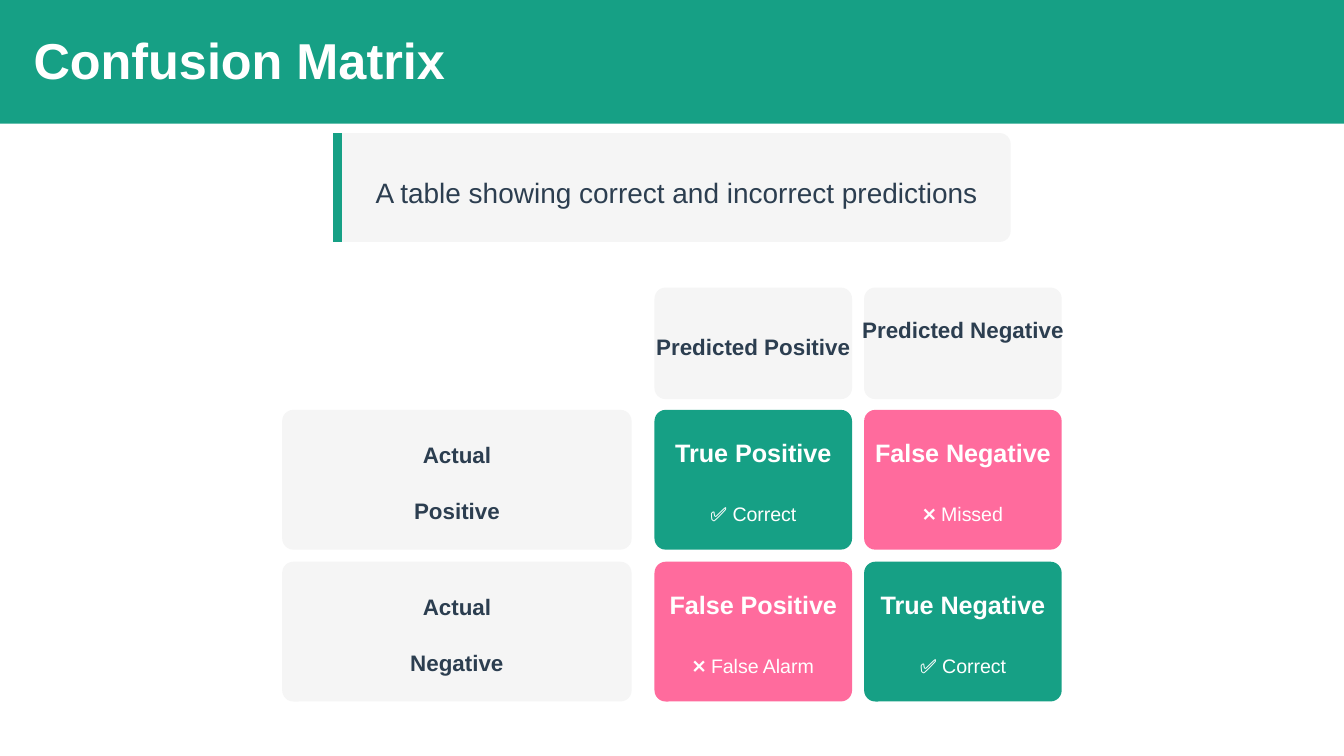
from lxml import etree
from pptx import Presentation
from pptx.dml.color import RGBColor
from pptx.enum.shapes import MSO_CONNECTOR, MSO_SHAPE
from pptx.enum.text import PP_ALIGN
from pptx.oxml.ns import qn
from pptx.util import Inches, Pt

RECTANGLE, ROUNDED = MSO_SHAPE.RECTANGLE, MSO_SHAPE.ROUNDED_RECTANGLE
STRAIGHT = MSO_CONNECTOR.STRAIGHT
LEFT, CENTER = PP_ALIGN.LEFT, PP_ALIGN.CENTER

COLORS = {
    "green": "16A085",
    "pink": "FF6B9D",
    "panel": "F5F5F5",
    "dark": "2C3E50",
    "white": "FFFFFF",
}

# Font size, weight, color and paragraph spacing of each text role
STYLES = {
    "title": {"size": 27, "bold": True, "color": "white", "line_spacing": 30},
    "subtitle": {"size": 15, "bold": False, "color": "dark", "line_spacing": 22.5},
    "header": {"size": 12, "bold": True, "color": "dark", "line_spacing": 18},
    "outcome": {"size": 13.5, "bold": True, "color": "white", "line_spacing": 21},
    "remark": {"size": 10.5, "bold": False, "color": "white", "line_spacing": 15,
               "space_before": 3.6, "space_after": 3},
}
SPACING = ("line_spacing", "space_before", "space_after")

# Matrix grid
ROW_HEADER_LEFT, ROW_HEADER_WIDTH = 2.1, 2.6
COLUMN_LEFT, COLUMN_STEP, CELL_WIDTH = 4.87, 1.56, 1.47
ROW_TOP, ROW_STEP, CELL_HEIGHT = 3.05, 1.13, 1.04
HEADER_TOP, HEADER_HEIGHT = 2.14, 0.83

# Text, width, top and height of each column header
COLUMN_HEADERS = [
    ("Predicted Positive", 1.47, 2.43, 0.25),
    ("Predicted Negative", 1.52, 2.3, 0.5),
]
# Second word of each row header and its width
ROW_HEADERS = [("Positive", 0.65), ("Negative", 0.71)]
# Fill, outcome and its width, remark and its width
CELLS = [
    [("green", "True Positive", 1.19, "✅ Correct", 0.71),
     ("pink", "False Negative", 1.34, "❌ Missed", 0.7)],
    [("pink", "False Positive", 1.28, "❌ False Alarm", 1.01),
     ("green", "True Negative", 1.25, "✅ Correct", 0.71)],
]


def rgb(name):
    return RGBColor.from_string(COLORS[name])


def add_box(slide, left, top, width, height, fill, corner=None):
    kind = RECTANGLE if corner is None else ROUNDED
    shape = slide.shapes.add_shape(
        kind, Inches(left), Inches(top), Inches(width), Inches(height))
    if corner is not None:
        shape.adjustments[0] = corner
    shape.shadow.inherit = False
    shape.fill.solid()
    shape.fill.fore_color.rgb = rgb(fill)
    shape.line.fill.background()


def add_text(slide, text, style, left, top, width, height,
             alignment=CENTER, wrap=False):
    box = slide.shapes.add_textbox(
        Inches(left), Inches(top), Inches(width), Inches(height))
    frame = box.text_frame
    frame.word_wrap = wrap
    for side in ("left", "top", "right", "bottom"):
        setattr(frame, f"margin_{side}", 0)
    values = STYLES[style]
    paragraph = frame.paragraphs[0]
    paragraph.alignment = alignment
    for name in SPACING:
        if name in values:
            setattr(paragraph, name, Pt(values[name]))
    run = paragraph.add_run()
    run.text = text
    font = {"name": "Arial", "size": Pt(values["size"]), "bold": values["bold"]}
    for name, value in font.items():
        setattr(run.font, name, value)
    run.font.color.rgb = rgb(values["color"])


def add_centered_text(slide, text, style, center, top, width, height):
    add_text(slide, text, style, center - width / 2, top, width, height)


def add_accent_line(slide, x, top, bottom):
    line = slide.shapes.add_connector(
        STRAIGHT, Inches(x), Inches(top), Inches(x), Inches(bottom))
    line.line.color.rgb = rgb("green")
    line.line.width = Pt(4.5)
    etree.SubElement(line._element.spPr, qn("a:effectLst"))


def add_row_headers(slide):
    center = ROW_HEADER_LEFT + ROW_HEADER_WIDTH / 2
    for row, (word, width) in enumerate(ROW_HEADERS):
        top = ROW_TOP + row * ROW_STEP
        add_box(slide, ROW_HEADER_LEFT, top, ROW_HEADER_WIDTH, CELL_HEIGHT,
                "panel", 0.08)
        add_centered_text(slide, "Actual", "header", center, top + 0.18, 0.52, 0.25)
        add_centered_text(slide, word, "header", center, top + 0.6, width, 0.25)


def add_column_headers(slide):
    for column, (text, width, top, height) in enumerate(COLUMN_HEADERS):
        left = COLUMN_LEFT + column * COLUMN_STEP
        add_box(slide, left, HEADER_TOP, CELL_WIDTH, HEADER_HEIGHT, "panel", 0.1)
        add_centered_text(slide, text, "header", left + CELL_WIDTH / 2,
                          top, width, height)


def add_cells(slide):
    for row, cells in enumerate(CELLS):
        top = ROW_TOP + row * ROW_STEP
        for column, cell in enumerate(cells):
            fill, outcome, outcome_width, remark, remark_width = cell
            left = COLUMN_LEFT + column * COLUMN_STEP
            center = left + CELL_WIDTH / 2
            add_box(slide, left, top, CELL_WIDTH, CELL_HEIGHT, fill, 0.08)
            add_centered_text(slide, outcome, "outcome", center,
                              top + 0.14, outcome_width, 0.29)
            add_centered_text(slide, remark, "remark", center,
                              top + 0.65, remark_width, 0.21)


def main():
    presentation = Presentation()
    # Widescreen, 16 to 9
    presentation.slide_width = Inches(10)
    presentation.slide_height = Inches(10) * 9 // 16
    slide = presentation.slides.add_slide(presentation.slide_layouts[6])

    # Title band
    add_box(slide, 0, 0, 10, 0.92, "green")
    add_text(slide, "Confusion Matrix", "title", 0.25, 0.25, 4.86, 0.42,
             LEFT, wrap=True)

    # Definition
    add_box(slide, 2.48, 0.99, 5.04, 0.81, "panel", 0.1)
    add_accent_line(slide, 2.51, 0.99, 1.8)
    add_text(slide, "A table showing correct and incorrect predictions",
             "subtitle", 2.75, 1.24, 4.57, 0.31)

    # Matrix
    add_row_headers(slide)
    add_column_headers(slide)
    add_cells(slide)

    presentation.save("out.pptx")


if __name__ == "__main__":
    main()
